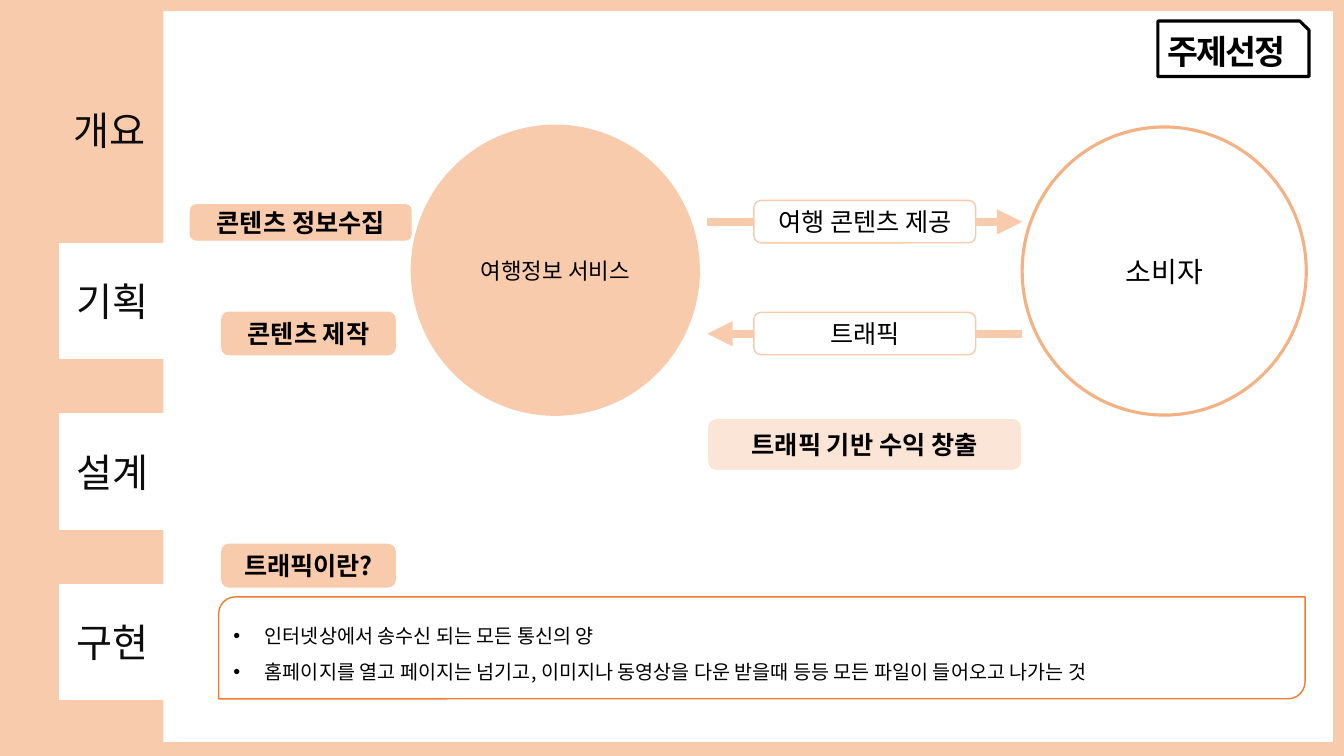
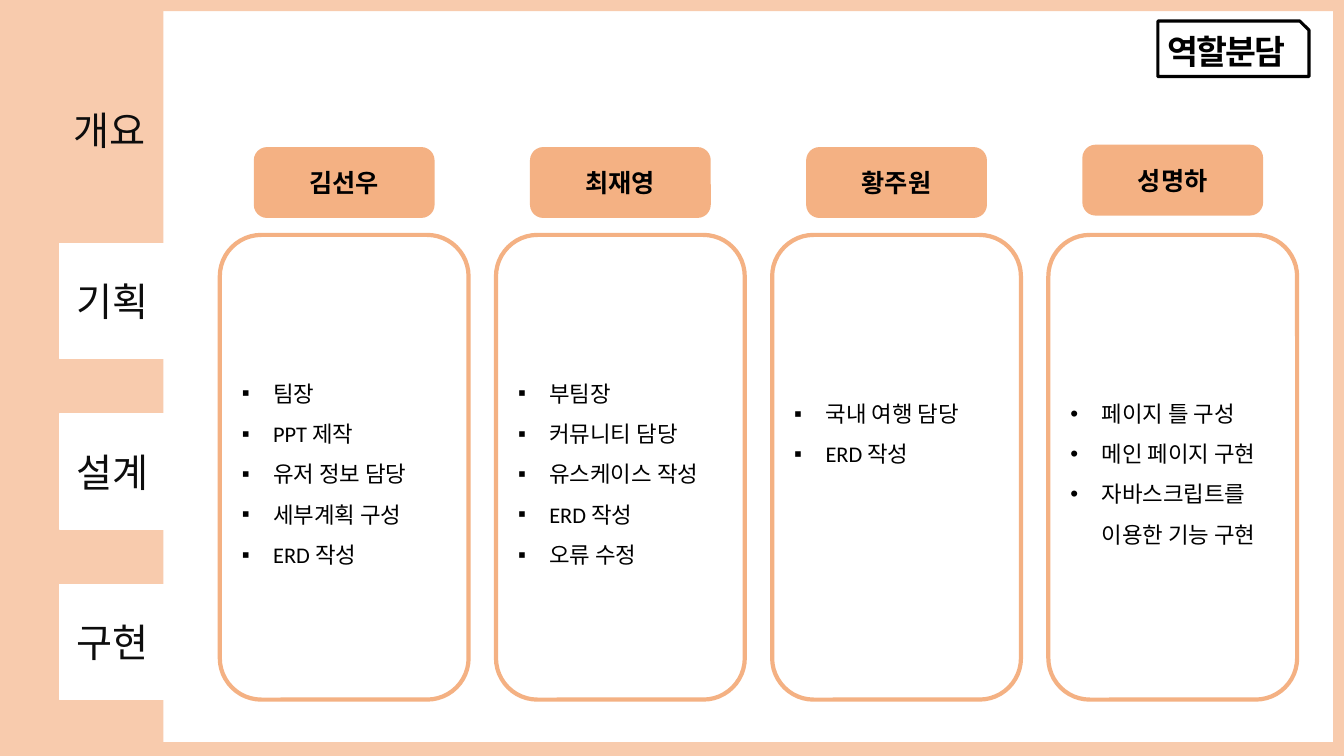
"""Builds two project slides: the topic diagram and the division of roles."""
from lxml.etree import SubElement
from pptx import Presentation
from pptx.dml.color import RGBColor
from pptx.enum.shapes import MSO_CONNECTOR, MSO_SHAPE as SHAPE
from pptx.enum.text import MSO_ANCHOR as ANCHOR, PP_ALIGN as ALIGN
from pptx.oxml.ns import qn
from pptx.util import Cm, Pt

PEACH = RGBColor(0xF8, 0xCB, 0xAD)
PALE = RGBColor(0xFB, 0xE5, 0xD6)
APRICOT = RGBColor(0xF4, 0xB1, 0x83)
ORANGE = RGBColor(0xED, 0x7D, 0x31)
WHITE = RGBColor(0xFF, 0xFF, 0xFF)
BLACK = RGBColor(0x00, 0x00, 0x00)
INK = RGBColor(0x0D, 0x0D, 0x0D)
KOREAN = "Noto Sans CJK KR"
BODY = {"name": KOREAN, "size": Pt(18), "bold": False}
STRONG = BODY | {"bold": True}
TITLE = STRONG | {"size": Pt(24)}
TAB = BODY | {"size": Pt(28)}
NOTE = BODY | {"size": Pt(14)}
DUTY = {"name": "Calibri", "size": Pt(16), "bold": False}


def add_block(slide, kind, box, fill, line, width=1, lines=(), style=BODY, color=BLACK, bullet=None):
    block = slide.shapes.add_shape(kind, *map(Cm, box))
    block.shadow.inherit = False
    if fill is None:
        block.fill.background()
    else:
        block.fill.solid()
        block.fill.fore_color.rgb = fill
    if line is None:
        block.line.fill.background()
    else:
        block.line.color.rgb = line
        block.line.width = Pt(width)
    frame = block.text_frame
    frame.word_wrap = True
    frame.vertical_anchor = ANCHOR.MIDDLE
    for index, text in enumerate(lines):
        paragraph = frame.add_paragraph() if index else frame.paragraphs[0]
        paragraph.alignment = ALIGN.LEFT if bullet else ALIGN.CENTER
        if bullet:
            properties = paragraph._p.get_or_add_pPr()
            properties.set("marL", str(Cm(0.79)))
            properties.set("indent", str(-Cm(0.79)))
            SubElement(properties, qn("a:buFont"), typeface="Arial")
            SubElement(properties, qn("a:buChar"), char=bullet)
            paragraph.line_spacing = 1.5
        run = paragraph.add_run()
        run.text = text
        for attribute, value in style.items():
            setattr(run.font, attribute, value)
        run.font.color.rgb = color
        SubElement(run._r.get_or_add_rPr(), qn("a:ea"), typeface=KOREAN)
    return block


def add_page(deck, title):
    slide = deck.slides.add_slide(deck.slide_layouts[6])
    add_block(slide, SHAPE.RECTANGLE, (0, 0, 3.84, 19.05), PEACH, PEACH)
    for band in ((3.84, 0, 30.03, 0.28), (33.6, 0, 0.27, 19.05),
                 (3.84, 18.7, 30.03, 0.35), (3.84, 0, 0.28, 19.05)):
        add_block(slide, SHAPE.RECTANGLE, band, PEACH, None)
    for index, section in enumerate(("개요", "기획", "설계", "구현")):
        left, tone = (1.5, WHITE) if index else (1.42, PEACH)
        add_block(slide, SHAPE.RECTANGLE, (left, 1.83 + 4.3 * index, 2.67, 2.9),
                  tone, tone, lines=[section], style=TAB, color=INK)
    heading = add_block(slide, SHAPE.SNIP_1_RECTANGLE, (29.18, 0.53, 3.81, 1.4),
                        None, BLACK, 2.25, [title], TITLE)
    heading.text_frame.vertical_anchor = ANCHOR.TOP
    paragraph = heading.text_frame.paragraphs[0]
    paragraph.alignment = ALIGN.LEFT
    paragraph.runs[0]._r.get_or_add_rPr().set("spc", "-150")
    return slide


deck = Presentation()
deck.slide_width, deck.slide_height = Cm(33.87), Cm(19.05)

topic = add_page(deck, "주제선정")
add_block(topic, SHAPE.OVAL, (10.39, 3.18, 7.21, 7.26), PEACH, PEACH, 2.25,
          ["여행정보 서비스"], BODY | {"size": Pt(16)})
add_block(topic, SHAPE.OVAL, (25.76, 3.2, 7.16, 7.26), WHITE, APRICOT, 2.25,
          ["소비자"], BODY | {"size": Pt(20)})
for label, box, fill, line, style in (
    ("콘텐츠 정보수집", (4.8, 5.16, 5.56, 0.89), PEACH, PEACH, STRONG),
    ("콘텐츠 제작", (5.59, 7.87, 4.37, 1.07), PEACH, PEACH, STRONG),
    ("여행 콘텐츠 제공", (19, 5.05, 5.59, 1.07), WHITE, PEACH, BODY),
    ("트래픽", (19, 7.87, 5.59, 1.07), WHITE, PEACH, BODY),
    ("트래픽 기반 수익 창출", (17.83, 10.54, 7.92, 1.32), PALE, WHITE, STRONG),
    ("트래픽이란?", (5.59, 13.72, 4.37, 1.07), PEACH, PEACH, STRONG),
):
    add_block(topic, SHAPE.ROUNDED_RECTANGLE, box, fill, line, 1, [label], style)

for start, end, level, pointed in (
    (17.83, 19, 5.59, False), (24.59, 25.76, 5.59, True),
    (25.76, 24.59, 8.41, False), (19, 17.83, 8.41, True),
):
    flow = topic.shapes.add_connector(MSO_CONNECTOR.STRAIGHT, Cm(start), Cm(level), Cm(end), Cm(level))
    flow.line.color.rgb = PEACH
    flow.line.width = Pt(6)
    if pointed:
        SubElement(flow.line._get_or_add_ln(), qn("a:tailEnd"), type="triangle")
    SubElement(flow._element.spPr, qn("a:effectLst"))

add_block(topic, SHAPE.ROUND_2_DIAG_RECTANGLE, (5.51, 15.04, 27.38, 2.57), WHITE, ORANGE, 1, [
    "인터넷상에서 송수신 되는 모든 통신의 양",
    "홈페이지를 열고 페이지는 넘기고, 이미지나 동영상을 다운 받을때 등등 모든 파일이 들어오고 나가는 것",
], NOTE, bullet="•")

roles = add_page(deck, "역할분담")
for index, (member, name_top, bullet, bottom, duties) in enumerate((
    ("김선우", 3.76, "▪", 0.13, ["팀장", "PPT 제작", "유저 정보 담당", "세부계획 구성", "ERD 작성"]),
    ("최재영", 3.76, "▪", 0.13, ["부팀장", "커뮤니티 담당", "유스케이스 작성", "ERD 작성", "오류 수정"]),
    ("황주원", 3.76, "▪", 2.16, ["국내 여행 담당", "ERD 작성"]),
    ("성명하", 3.7, "•", 0.13, ["페이지 틀 구성", "메인 페이지 구현", "자바스크립트를 이용한 기능 구현"]),
)):
    offset = 6.96 * index
    card = add_block(roles, SHAPE.ROUNDED_RECTANGLE, (5.54 + offset, 5.92, 6.27, 11.71),
                     WHITE, APRICOT, 3, duties, DUTY, bullet=bullet)
    card.text_frame.margin_bottom = Cm(bottom)
    add_block(roles, SHAPE.ROUNDED_RECTANGLE, (6.45 + offset, name_top, 4.45, 1.68),
              APRICOT, APRICOT, 3, [member], STRONG)

deck.save("out.pptx")
